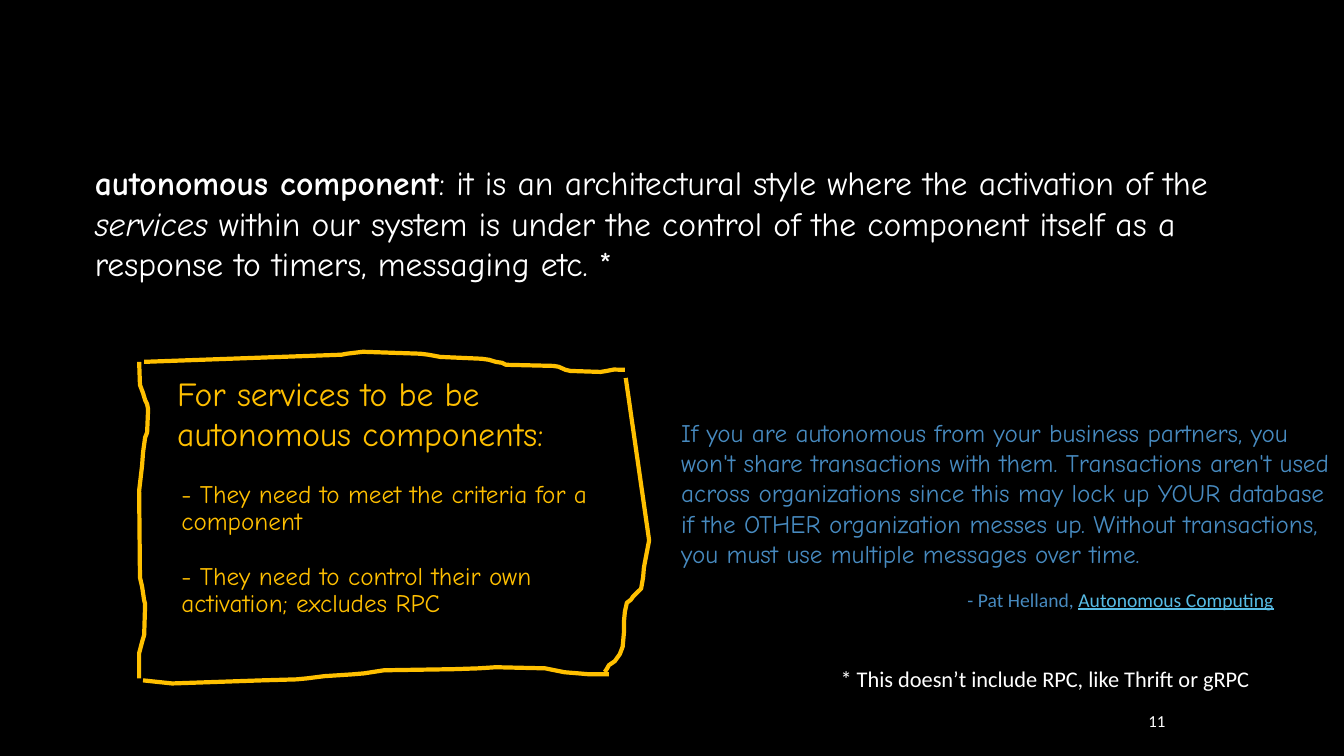
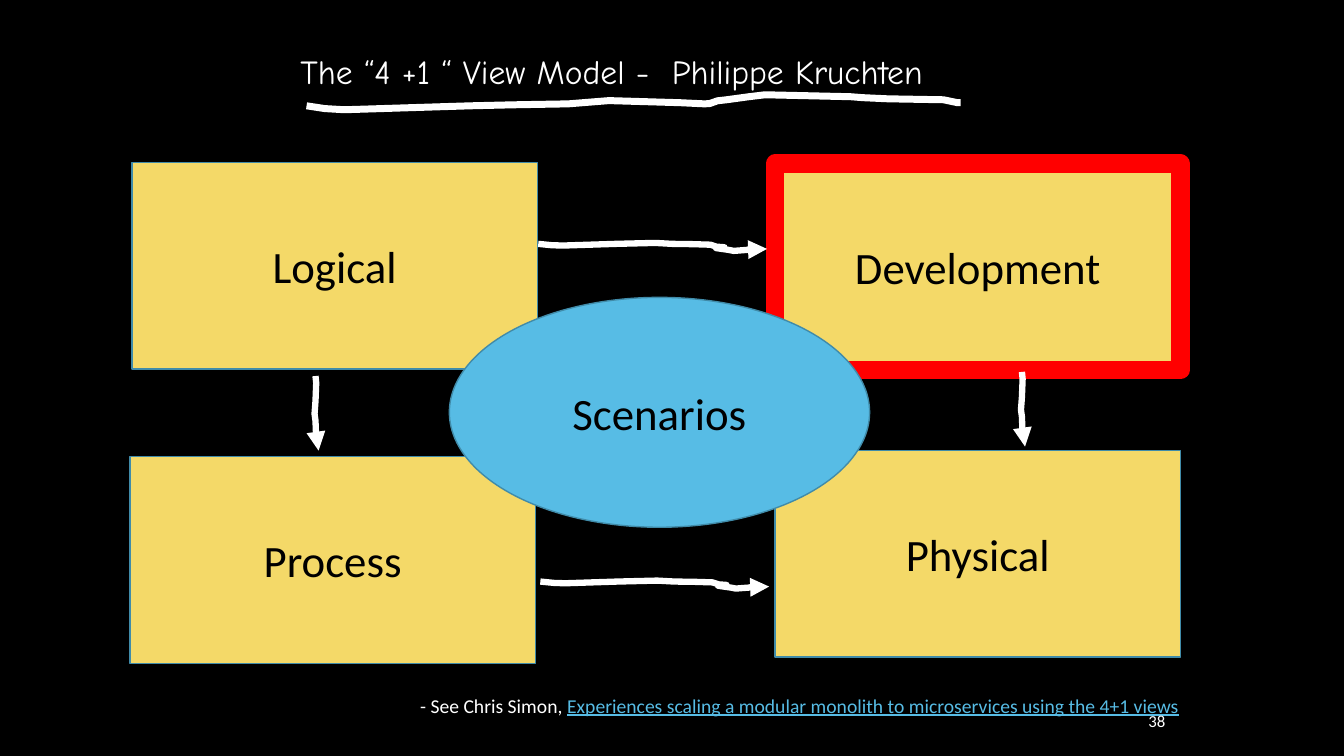
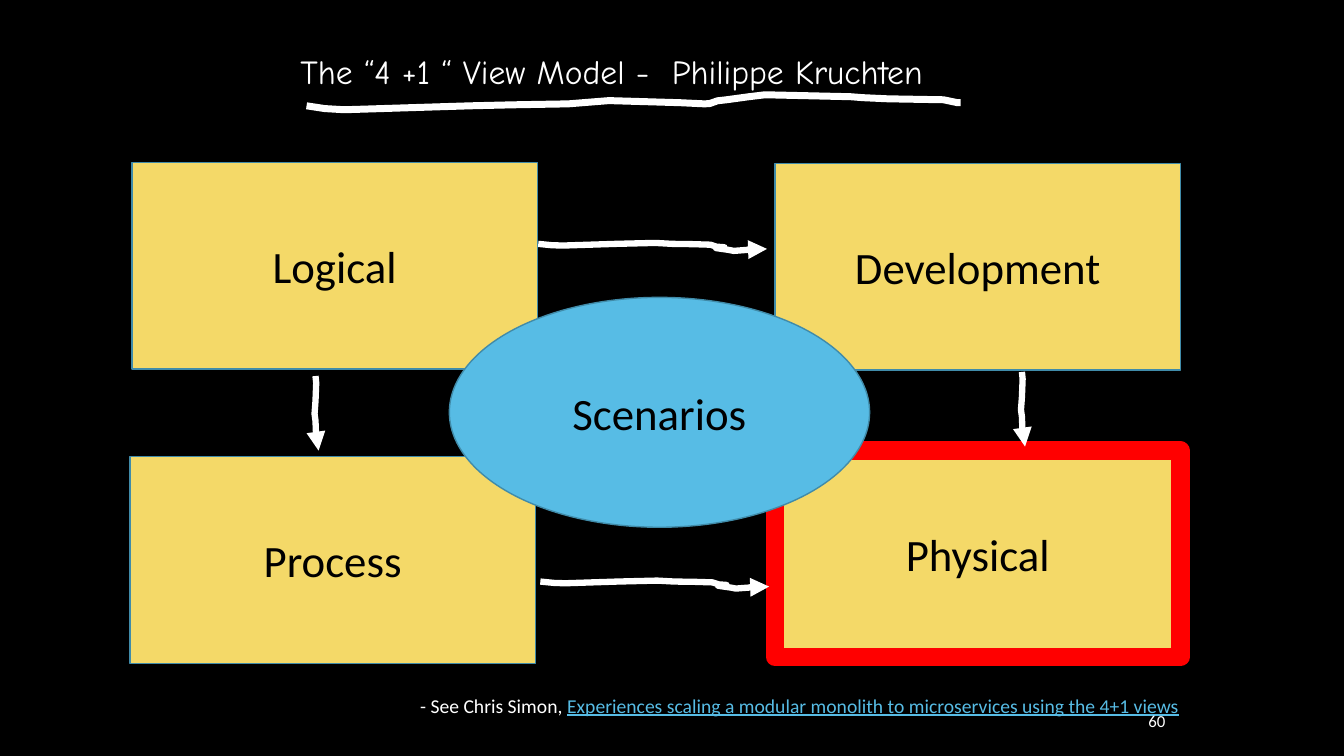
from pptx import Presentation
from pptx.dml.color import RGBColor
from pptx.enum.shapes import MSO_SHAPE
from pptx.enum.text import MSO_ANCHOR as ANCHOR, MSO_AUTO_SIZE as FIT, PP_ALIGN as ALIGN
from pptx.oxml.ns import qn
from pptx.util import Pt
from lxml.etree import SubElement

COLOURS = {
    "black": "000000", "white": "FFFFFF", "amber": "FFC000", "blue": "478ABF",
    "sky": "57BCE5", "sand": "F4D968", "edge": "408BA9", "red": "FF0000",
}
RGB = {name: RGBColor.from_string(value) for name, value in COLOURS.items()}
HAND, PLAIN = "Comic Neue", "Calibri"
TITLE_ONLY, TITLE_AND_BODY = 5, 1
LINK = {"colour": "sky", "underline": True}


def write(sp, box, paragraphs, font, size, colour, spacing=1.0, gap=0,
          align=ALIGN.LEFT, anchor=ANCHOR.TOP):
    """Place sp at box and fill it; a paragraph is a list of (text, style) runs."""
    sp.left, sp.top, sp.width, sp.height = [Pt(v) for v in box]
    tf = sp.text_frame
    tf.word_wrap = True
    tf.auto_size = FIT.NONE
    tf.vertical_anchor = anchor
    for i, runs in enumerate(paragraphs):
        p = tf.add_paragraph() if i else tf.paragraphs[0]
        pPr = p._p.get_or_add_pPr()
        pPr.set("marL", "0")
        pPr.set("indent", "0")
        SubElement(pPr, qn("a:buNone"))
        p.alignment = align
        p.line_spacing = spacing
        p.space_before = Pt(gap if i else 0)
        for text, style in runs:
            r = p.add_run()
            r.text = text
            r.font.name, r.font.size = font, Pt(size)
            r.font.color.rgb = RGB[style.get("colour", colour)]
            r.font.bold = style.get("bold", False)
            r.font.italic = style.get("italic", False)
            r.font.underline = style.get("underline", False)


def scribble(s, points, colour, width, origin=(0, 0), arrow=False):
    """Draw an open hand-drawn stroke through points, offset by origin."""
    spots = [(Pt(x + origin[0]), Pt(y + origin[1])) for x, y in points]
    builder = s.shapes.build_freeform(*spots[0])
    builder.add_line_segments(spots[1:], close=False)
    sp = builder.convert_to_shape()
    sp.shadow.inherit = False
    sp.fill.background()
    sp.line.color.rgb = RGB[colour]
    sp.line.width = Pt(width)
    if arrow:
        SubElement(sp.line._get_or_add_ln(), qn("a:tailEnd"), type="triangle")


prs = Presentation()
prs.slide_width, prs.slide_height = Pt(960), Pt(540)
background = prs.slide_master.background.fill
background.solid()
background.fore_color.rgb = RGB["black"]

# Autonomous component
s = prs.slides.add_slide(prs.slide_layouts[TITLE_AND_BODY])
write(s.shapes.title, (60.5, 112.3, 862, 94.3), [[
    ("autonomous component", {"bold": True}),
    (": it is an architectural style where the activation of the ", {}),
    ("services", {"italic": True}),
    (" within our system is under the control of the component itself as a "
     "response to timers, messaging etc. *", {}),
]], HAND, 24, "white")
write(s.placeholders[1], (122.4, 340.6, 328.3, 105), [
    [("- They need to meet the criteria for a component", {})],
    [("- They need to control their own activation; excludes RPC", {})],
], HAND, 18, "amber", spacing=0.9, gap=19.5)

notes = [
    ((119.5, 262.8, 320.4, 65.5), HAND, 24, "amber", 1.0,
     [("For services to be be autonomous components:", {})]),
    ((479.5, 294.5, 480.5, 116.6), HAND, 18, "blue", 1.0,
     [("If you are autonomous from your business partners, you won't share "
       "transactions with them. Transactions aren't used across organizations "
       "since this may lock up YOUR database if the OTHER organization messes up. "
       "Without transactions, you must use multiple messages over time.", {})]),
    ((684, 416.2, 247, 24.5), PLAIN, 14, "blue", 1.0,
     [("- Pat Helland, ", {}), ("Autonomous Computing", LINK)]),
    ((593.3, 473.8, 317.5, 24.5), PLAIN, 16, "white", 0.9,
     [("* This doesn’t include RPC, like Thrift or gRPC", {})]),
]
for box, font, size, colour, spacing, runs in notes:
    write(s.shapes.add_textbox(0, 0, 0, 0), box, [runs], font, size, colour, spacing)

frame_sides = [
    # left
    [(99.4, 258.5), (100, 275), (102.2, 280.8), (103.7, 285.8), (105.1, 288.7),
     (105.8, 292.3), (105.1, 309), (103.7, 312.5), (102.2, 323.3), (101.5, 332.6),
     (99.4, 350.6), (100, 412.6), (101.5, 419), (103, 429), (103.7, 431.3),
     (103, 453.6), (101.5, 458.6), (100, 464.4), (99.4, 466.6), (99.4, 484.6)],
    # bottom
    [(102.2, 486), (123, 488.2), (187.2, 486), (211.7, 485.3), (219, 484.6),
     (231.8, 483), (252, 481.7), (260, 481), (274.3, 478.8), (324, 478), (342, 477.4),
     (354.2, 476.6), (389.5, 477.4), (403.2, 480.2), (413.3, 481), (421.2, 481.7),
     (435, 481.7)],
    # top
    [(103, 258.5), (244, 253.4), (247.7, 252.7), (259.2, 251.3), (300.2, 252.7),
     (306, 253.4), (314.6, 255), (344.2, 256.3), (349.2, 257), (354.2, 258.5),
     (358.6, 259.2), (361.4, 260.6), (395.3, 261.4), (399, 262), (404, 264.2),
     (407.5, 265), (429, 265.7), (433.4, 265), (438.5, 264), (446.4, 264.2)],
    # right
    [(447, 270), (463.7, 386), (462.2, 393.8), (460, 405.4), (459.4, 412.6),
     (458, 420.5), (452.2, 426.2), (450.7, 428.4), (447.8, 430.6), (446.4, 437),
     (445.7, 444.2), (445.7, 452), (444.8, 462), (442.8, 467.3), (439.2, 472.3),
     (435, 475.2), (433.4, 478), (432, 480)],
]
for side in frame_sides:
    scribble(s, side, "amber", 3)

# 4+1 view model, with one view highlighted on each slide
views = [
    ("Logical", (94.3, 116, 289.5, 147.6)),
    ("Process", (92.9, 326.2, 289.5, 147.6)),
    ("Development", (553.7, 116.8, 289.5, 147.6)),
    ("Physical", (553.7, 321.8, 289.5, 147.6)),
    ("Scenarios", (321, 212.4, 300.2, 164.2)),
]
across = [(0, 0), (10, 1), (18, 1.2), (55.4, 0), (83.5, -0.7), (95.8, 0), (110, 0.2),
          (123, 0.6), (127.4, 2), (133, 2.4), (127, 3), (136, 4.3), (139.7, 5),
          (149, 4.3), (152, 3.6), (163.4, 3.6)]
down = [(0, 0), (0.5, 5), (0, 18), (-0.7, 27), (0, 32), (0.3, 40), (0.7, 42),
        (2, 45), (2.2, 46), (2.2, 53.3)]
arrows = [(across, (384.5, 174.2)), (across, (386, 415.4)),
          (down, (225.4, 268.6)), (down, (730, 265.7))]
underline = [(219, 75.6), (232, 77.6), (246, 78.4), (260, 78), (336.2, 75.6),
             (366.5, 74.9), (406, 74.2), (435, 71.9), (486, 73.4), (503.3, 74.2),
             (507, 74), (512.6, 72), (519, 71.3), (530, 69.8), (535, 69.1),
             (546.5, 67.7), (607.7, 69.1), (616.3, 69.8), (634.3, 70.6), (674, 71.3),
             (684, 73.4), (686.2, 73.4)]

for highlighted in ("Development", "Physical"):
    s = prs.slides.add_slide(prs.slide_layouts[TITLE_ONLY])
    write(s.shapes.title, (207.4, 36, 510.5, 33),
          [[("The “4 +1 “ View Model -  Philippe Kruchten", {})]],
          HAND, 24, "white", spacing=0.9)
    for name, box in views:
        centre = name == "Scenarios"
        sp = s.shapes.add_shape(MSO_SHAPE.OVAL if centre else MSO_SHAPE.RECTANGLE, 0, 0, 0, 0)
        sp.shadow.inherit = False
        sp.fill.solid()
        sp.fill.fore_color.rgb = RGB["sky" if centre else "sand"]
        sp.line.color.rgb = RGB["red" if name == highlighted else "edge"]
        sp.line.width = Pt(13 if name == highlighted else 1)
        write(sp, box, [[(name, {})]], PLAIN, 32, "black",
              align=ALIGN.CENTER, anchor=ANCHOR.MIDDLE)
    for points, origin in arrows:
        scribble(s, points, "white", 4.5, origin, arrow=True)
    scribble(s, underline, "white", 5)
    write(s.shapes.add_textbox(0, 0, 0, 0), (293, 491.8, 572.4, 24.5), [[
        ("- See Chris Simon, ", {}),
        ("Experiences scaling a modular monolith to microservices using the 4+1 views", LINK),
    ]], PLAIN, 14, "white")

for s, number in zip(prs.slides, ("11", "38", "60")):
    write(s.shapes.add_textbox(0, 0, 0, 0), (749.5, 504, 90, 21.6), [[(number, {})]],
          PLAIN, 12, "white", align=ALIGN.RIGHT, anchor=ANCHOR.MIDDLE)

prs.save("out.pptx")
